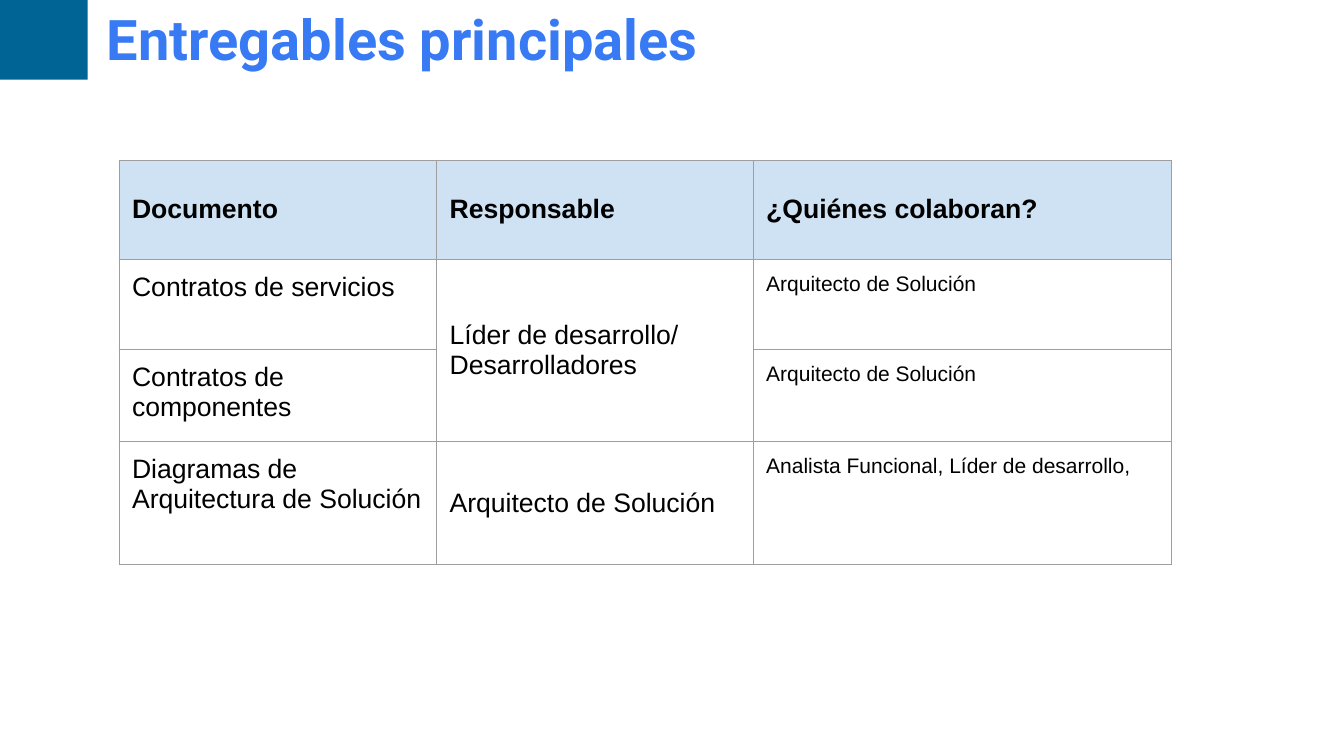
from lxml.etree import SubElement
from pptx import Presentation
from pptx.dml.color import RGBColor
from pptx.enum.shapes import MSO_SHAPE
from pptx.enum.text import MSO_ANCHOR, PP_ALIGN
from pptx.oxml.ns import qn
from pptx.util import Inches, Pt

HEADING = "Entregables principales"
DELIVERABLES = [
    ("Documento", "Responsable", "¿Quiénes colaboran?"),
    ("Contratos de servicios", "Líder de desarrollo/ Desarrolladores", "Arquitecto de Solución"),
    ("Contratos de componentes", "", "Arquitecto de Solución"),
    ("Diagramas de Arquitectura de Solución", "Arquitecto de Solución",
     "Analista Funcional, Líder de desarrollo,"),
]
COLUMN_WIDTHS = (3.15, 3.14, 4.15)
ROW_HEIGHTS = (0.98, 0.9, 0.91, 1.22)
RESPONSIBLE, COLLABORATORS = 1, 2

HEADING_FONT = {"name": "Roboto", "size": Pt(40), "bold": True}
HEADER_FONT = {"name": "Arial", "size": Pt(19), "bold": True}
BODY_FONT = {"name": "Arial", "size": Pt(19), "bold": False}
COLLABORATOR_FONT = {"name": "Arial", "size": Pt(15), "bold": False}
HEADING_BOX = {"left": Inches(0.92), "top": Inches(-0.03),
               "width": Inches(12.3), "height": Inches(0.81)}
HEADING_FRAME = {"margin_left": Inches(0.14), "margin_right": Inches(0.13),
                 "margin_top": Inches(0.07), "margin_bottom": Inches(0.07),
                 "vertical_anchor": MSO_ANCHOR.TOP, "word_wrap": True}
CELL_MARGINS = {f"margin_{side}": Inches(0.13) for side in ("left", "right", "top", "bottom")}
PLAIN_TABLE = {"first_row": False, "horz_banding": False}


def color(value):
    return RGBColor.from_string(value)


def apply(target, settings):
    for name, value in settings.items():
        setattr(target, name, value)


def style(paragraph, settings, ink):
    apply(paragraph.font, settings)
    paragraph.font.color.rgb = color(ink)


def add_borders(cell, ink, points):
    properties = cell._tc.get_or_add_tcPr()
    for edge in ("a:lnL", "a:lnR", "a:lnT", "a:lnB"):
        border = SubElement(properties, qn(edge), w=str(Pt(points)))
        SubElement(SubElement(border, qn("a:solidFill")), qn("a:srgbClr"), val=ink)


def add_heading(slide):
    heading = slide.shapes.title
    apply(heading, HEADING_BOX)
    apply(heading.text_frame, HEADING_FRAME)
    heading.text_frame.text = HEADING
    paragraph = heading.text_frame.paragraphs[0]
    paragraph.alignment = PP_ALIGN.LEFT
    style(paragraph, HEADING_FONT, "377AF4")


def add_corner(slide):
    corner = slide.shapes.add_shape(MSO_SHAPE.RECTANGLE, 0, 0, Inches(0.87), Inches(0.79))
    corner.shadow.inherit = False
    corner.fill.solid()
    corner.fill.fore_color.rgb = color("006595")
    corner.line.fill.background()


def fill_cell(cell, wording, row, column):
    header = row == 0
    cell.text = wording
    apply(cell, CELL_MARGINS)
    centred = header or column == RESPONSIBLE
    cell.vertical_anchor = MSO_ANCHOR.MIDDLE if centred else MSO_ANCHOR.TOP
    body = COLLABORATOR_FONT if column == COLLABORATORS else BODY_FONT
    style(cell.text_frame.paragraphs[0], HEADER_FONT if header else body, "000000")
    add_borders(cell, "9E9E9E", 0.75)
    if header:
        cell.fill.solid()
        cell.fill.fore_color.rgb = color("CFE2F3")
    else:
        cell.fill.background()


def add_deliverables(slide):
    deliverables = slide.shapes.add_table(
        len(ROW_HEIGHTS), len(COLUMN_WIDTHS), Inches(1.18), Inches(1.59),
        Inches(sum(COLUMN_WIDTHS)), Inches(sum(ROW_HEIGHTS))).table
    apply(deliverables, PLAIN_TABLE)
    for column, width in zip(deliverables.columns, COLUMN_WIDTHS):
        column.width = Inches(width)
    for row, height in zip(deliverables.rows, ROW_HEIGHTS):
        row.height = Inches(height)
    for row, entries in enumerate(DELIVERABLES):
        for column, wording in enumerate(entries):
            fill_cell(deliverables.cell(row, column), wording, row, column)
    deliverables.cell(1, RESPONSIBLE).merge(deliverables.cell(2, RESPONSIBLE))


def main():
    deck = Presentation()
    apply(deck, {"slide_width": Inches(13.33), "slide_height": Inches(7.5)})
    slide = deck.slides.add_slide(deck.slide_layouts[5])
    add_deliverables(slide)
    add_corner(slide)
    add_heading(slide)
    deck.save("out.pptx")


if __name__ == "__main__":
    main()
